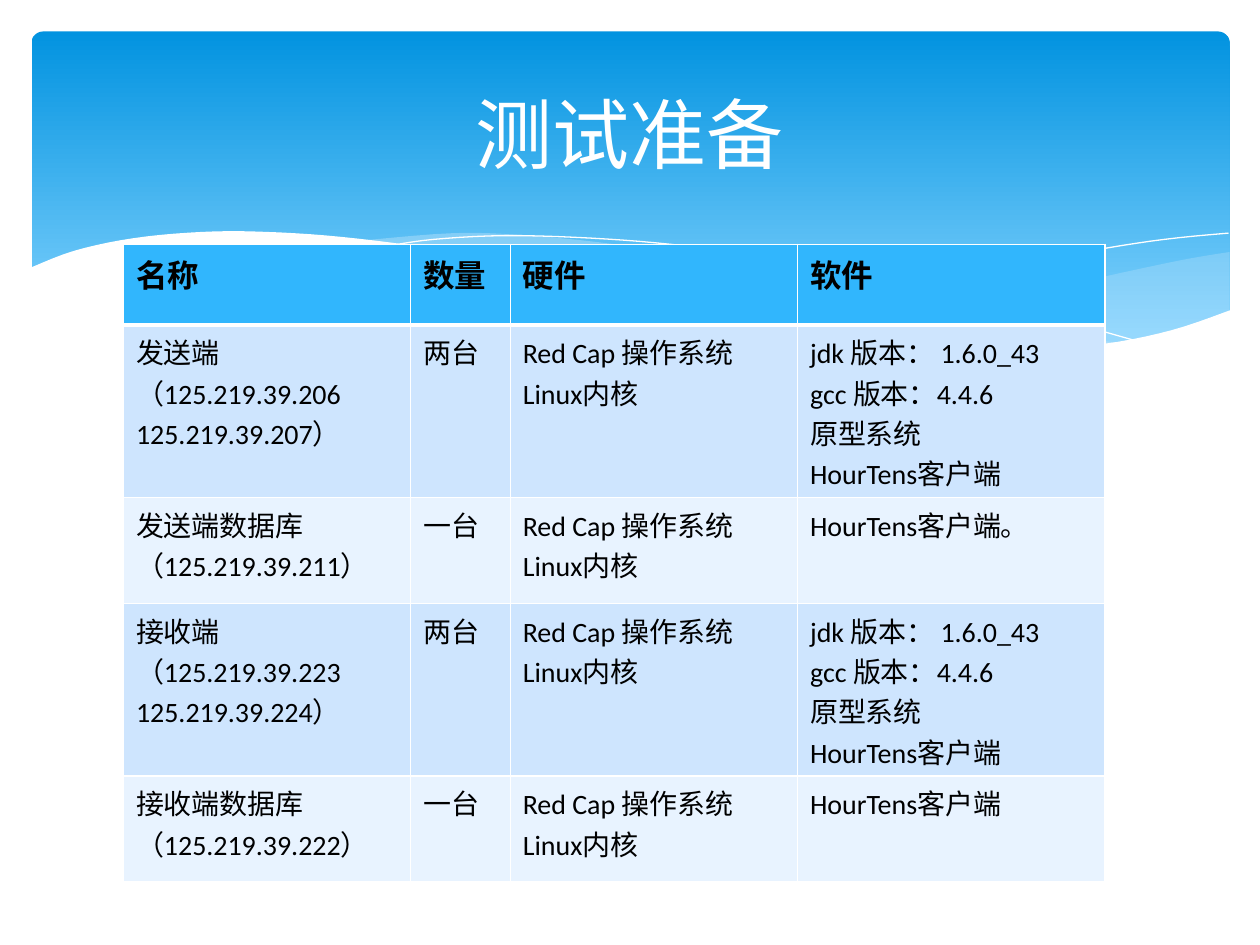
from lxml import etree
from pptx import Presentation
from pptx import util as u
from pptx.dml.color import RGBColor
from pptx.enum import shapes, text
from pptx.oxml.ns import qn

WHITE = RGBColor(0xFF, 0xFF, 0xFF)
BLACK = RGBColor(0, 0, 0)
SKY_TOP = RGBColor(0x02, 0x93, 0xE0)
SKY_BOTTOM = RGBColor(0x83, 0xD3, 0xFE)
FOAM = RGBColor(0xC6, 0xE7, 0xFC)
HEADER = RGBColor(0x31, 0xB6, 0xFD)
BANDS = (RGBColor(0xCE, 0xE5, 0xFE), RGBColor(0xE8, 0xF3, 0xFF))
FONT = "Calibri"
WIDTH, HEIGHT = 10, 7.5

RIGHT_FOAM_TOP = [(9.76, 2), (9.35, 2.07), (8.61, 2.23), (7.79, 2.42), (7.06, 2.57), (6.61, 2.65)]
RIGHT_FOAM_BOTTOM = [(6.61, 2.65), (7.19, 2.72), (7.69, 2.77), (8.24, 2.77), (8.81, 2.73),
                     (9.28, 2.63), (9.76, 2.47)]
LONG_FOAM_TOP = [(8.93, 2.73), (8.07, 2.6), (7.06, 2.4), (6.29, 2.22), (5.55, 2.05),
                 (4.89, 1.94), (4.2, 1.87), (3.61, 1.85), (2.86, 1.91)]
LONG_FOAM_BOTTOM = [(2.86, 1.91), (3.62, 2.03), (4.49, 2.22), (5.3, 2.4), (6.18, 2.58),
                    (6.95, 2.7), (7.61, 2.77), (8.28, 2.78), (8.93, 2.73)]
LONG_CREST = [(3.09, 1.95), (3.44, 1.9), (4.01, 1.87), (4.69, 1.89), (5.33, 1.94),
              (6.08, 2.04), (6.95, 2.19), (7.95, 2.41), (9.07, 2.72)]
RIGHT_CREST = [(6.13, 2.57), (6.95, 2.35), (7.76, 2.16), (8.66, 1.99), (9.24, 1.9), (9.75, 1.85)]
SHORE = [(9.77, 2.46), (9.3, 2.62), (8.75, 2.73), (8.09, 2.77), (7.44, 2.74), (6.68, 2.65),
         (5.79, 2.5), (5.03, 2.33), (4.18, 2.13), (3.4, 1.97), (2.71, 1.88), (2.11, 1.84),
         (1.61, 1.84), (1.06, 1.89), (0.59, 1.99), (0.23, 2.13)]

COLUMNS = (2.28, 0.79, 2.28, 2.44)
ROWS = (0.64, 1.37, 0.84, 1.37, 0.84)
SYSTEM = "Red Cap 操作系统\vLinux内核"
CLIENT = "HourTens客户端"
SOFTWARE = f"jdk 版本： 1.6.0_43\ngcc 版本：4.4.6\n原型系统\n{CLIENT}"
CELLS = (
    ("名称", "数量", "硬件", "软件"),
    ("发送端\n（125.219.39.206\n125.219.39.207）", "两台", SYSTEM, SOFTWARE),
    ("发送端数据库\n（125.219.39.211）", "一台", SYSTEM, CLIENT + "。"),
    ("接收端\n（125.219.39.223\n125.219.39.224）", "两台", SYSTEM, SOFTWARE),
    ("接收端数据库\n（125.219.39.222）", "一台", SYSTEM, CLIENT),
)


def smooth(knots, steps=5):
    """Return points of a Catmull-Rom curve through the knots."""
    padded = [knots[0], *knots, knots[-1]]
    points = [knots[0]]
    for before, start, end, after in zip(padded, padded[1:], padded[2:], padded[3:]):
        for step in range(1, steps + 1):
            t = step / steps
            points.append(tuple(
                0.5 * (2 * b + (c - a) * t + (2 * a - 5 * b + 4 * c - d) * t ** 2
                       + (3 * b - a - 3 * c + d) * t ** 3)
                for a, b, c, d in zip(before, start, end, after)))
    return points


def add_outline(page, points, closed):
    """Draw a freeform through points given in inches."""
    spots = [(u.Inches(x), u.Inches(y)) for x, y in points]
    builder = page.shapes.build_freeform(*spots[0])
    builder.add_line_segments(spots[1:], close=closed)
    shape = builder.convert_to_shape()
    shape.shadow.inherit = False
    return shape


def add_wave(page, points, color, opacity=100):
    """Add a filled wave without a line."""
    wave = add_outline(page, points, True)
    wave.line.fill.background()
    wave.fill.solid()
    wave.fill.fore_color.rgb = color
    if opacity < 100:
        tint = wave.fill._xPr.find(".//" + qn("a:srgbClr"))
        etree.SubElement(tint, qn("a:alpha"), val=str(opacity * 1000))


def add_crest(page, knots):
    """Add a white hairline curve."""
    crest = add_outline(page, smooth(knots), False)
    crest.fill.background()
    crest.line.color.rgb = WHITE
    crest.line.width = u.Pt(0)


def add_sky(page):
    """Add the rounded gradient banner."""
    sky = page.shapes.add_shape(shapes.MSO_SHAPE.ROUNDED_RECTANGLE, u.Inches(0.25),
                                u.Inches(0.25), u.Inches(9.51), u.Inches(2.7))
    sky.adjustments[0] = 0.034
    sky.shadow.inherit = False
    sky.line.fill.background()
    sky.fill.gradient()
    sky.fill.gradient_angle = 270
    for stop, color, position in zip(sky.fill.gradient_stops, (SKY_TOP, SKY_BOTTOM), (0, 0.9)):
        stop.color.rgb = color
        stop.position = position


def style(para, size, color, bold=False):
    """Set the font of a paragraph."""
    font = para.font
    font.name, font.size, font.bold = FONT, u.Pt(size), bold
    font.color.rgb = color


def add_title(page, words):
    """Add the centred title."""
    box = page.shapes.add_textbox(u.Inches(WIDTH * 0.05), u.Inches(0.37),
                                  u.Inches(WIDTH * 0.9), u.Inches(1.37))
    frame = box.text_frame
    frame.word_wrap = True
    frame.vertical_anchor = text.MSO_ANCHOR.MIDDLE
    frame.text = words
    para = frame.paragraphs[0]
    para.alignment = text.PP_ALIGN.CENTER
    style(para, 44, WHITE)


def set_borders(cell, top, bottom):
    """Give a cell white borders, with top and bottom widths in points."""
    properties = cell._tc.get_or_add_tcPr()
    for index, (side, width) in enumerate((("L", 1), ("R", 1), ("T", top), ("B", bottom))):
        line = etree.Element(qn(f"a:ln{side}"), w=str(u.Pt(width)))
        fill = etree.SubElement(line, qn("a:solidFill"))
        etree.SubElement(fill, qn("a:srgbClr"), val=str(WHITE))
        properties.insert(index, line)


def add_grid(page):
    """Add the table of machines."""
    table = page.shapes.add_table(len(ROWS), len(COLUMNS), u.Inches(0.98), u.Inches(1.94),
                                  u.Inches(sum(COLUMNS)), u.Inches(sum(ROWS))).table
    for column, width in zip(table.columns, COLUMNS):
        column.width = u.Inches(width)
    for number, (row, height, words) in enumerate(zip(table.rows, ROWS, CELLS)):
        row.height = u.Inches(height)
        heading = number == 0
        for cell, content in zip(row.cells, words):
            cell.text_frame.text = content
            for para in cell.text_frame.paragraphs:
                style(para, 18 if heading else 16, BLACK, heading)
            cell.fill.solid()
            cell.fill.fore_color.rgb = HEADER if heading else BANDS[(number - 1) % 2]
            set_borders(cell, 3 if number == 1 else 1, 3 if heading else 1)


def main():
    """Build and save the slide."""
    deck = Presentation()
    deck.slide_width, deck.slide_height = u.Inches(WIDTH), u.Inches(HEIGHT)
    page = deck.slides.add_slide(deck.slide_layouts[6])
    add_sky(page)
    add_wave(page, smooth(RIGHT_FOAM_TOP) + smooth(RIGHT_FOAM_BOTTOM), FOAM, 29)
    add_wave(page, smooth(LONG_FOAM_TOP) + smooth(LONG_FOAM_BOTTOM), FOAM, 40)
    add_crest(page, LONG_CREST)
    add_crest(page, RIGHT_CREST)
    add_wave(page, smooth(SHORE) + [(0.23, 3.29), (9.77, 3.29)], WHITE)
    add_title(page, "测试准备")
    add_grid(page)
    deck.save("out.pptx")


if __name__ == "__main__":
    main()
